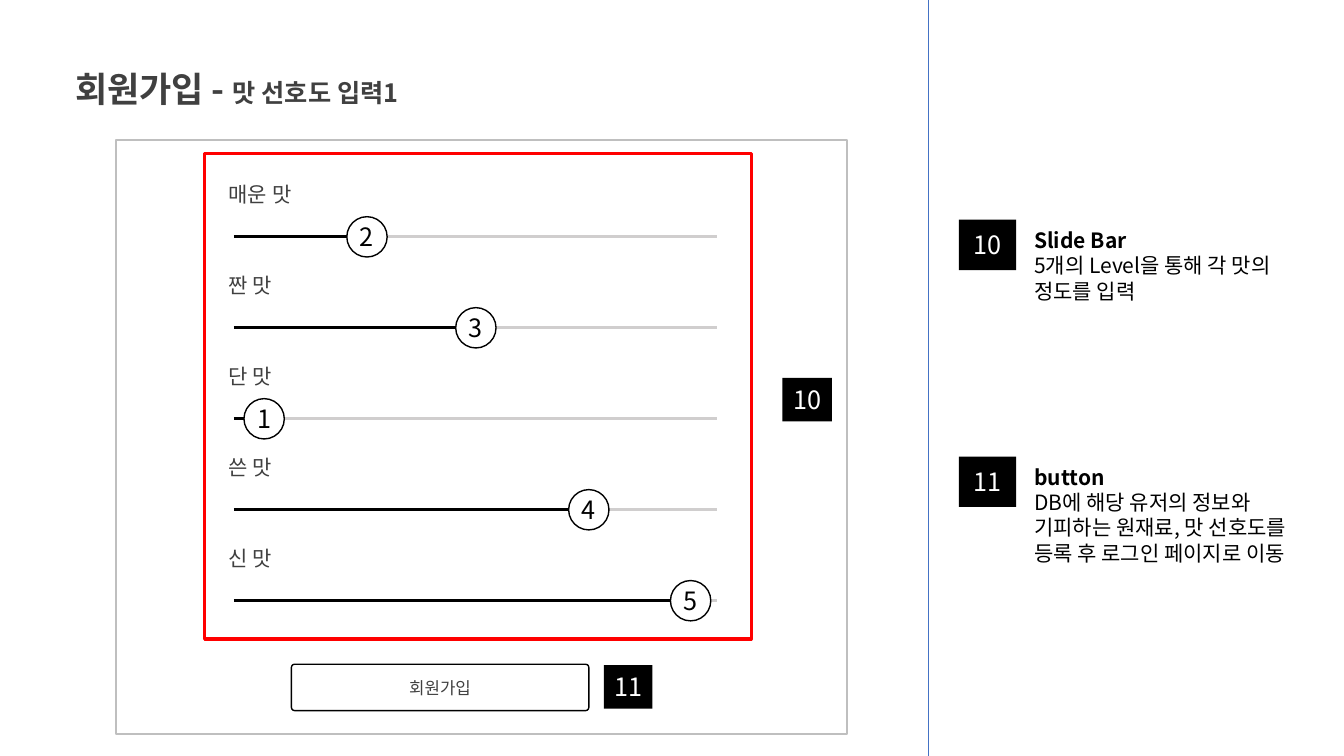
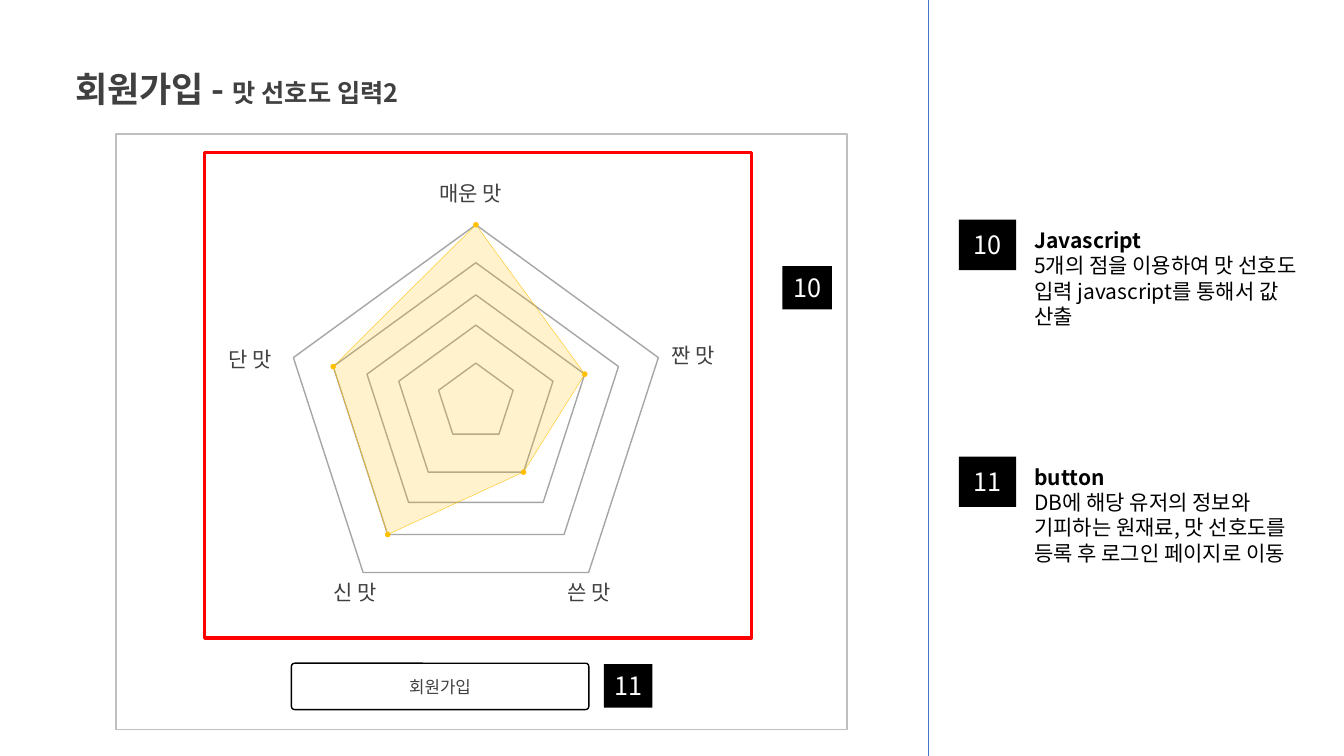
from lxml.etree import SubElement
from pptx import Presentation
from pptx.dml.color import RGBColor
from pptx.enum.shapes import MSO_CONNECTOR as Connector, MSO_SHAPE as Preset
from pptx.enum.text import MSO_ANCHOR as Anchor, PP_ALIGN as Align
from pptx.oxml.ns import qn
from pptx.util import Inches, Pt

FONT = "Noto Sans CJK KR"
COLORS = {
    "white": "FFFFFF",
    "black": "000000",
    "text": "404040",
    "panel": "BFBFBF",
    "divider": "4472C4",
    "highlight": "FF0000",
    "track": "D0CECE",
    "grid": "A6A6A6",
    "data": "FFC000",
}
SLIDE_WIDTH, SLIDE_HEIGHT = 13.33, 7.5
LABEL_SIZE = (0.92, 0.37)
FRAME_LEFT, FRAME_WIDTH, FRAME_HEIGHT = 2.03, 5.42, 4.82
KNOB_SIZE = 0.4
KNOB_OFFSETS = {1: 0.39, 2: 1.41, 3: 2.49, 4: 3.61, 5: 4.62}
SLIDERS = [("매운 맛", 2), ("짠 맛", 3), ("단 맛", 1), ("쓴 맛", 4), ("신 맛", 5)]
RING_WIDTHS = [0.74, 1.53, 2.16, 2.83, 3.62]
RING_RATIO = 0.953
RING_CORNERS = [(0.5, 0), (1, 0.382), (0.809, 1), (0.191, 1), (0, 0.382)]
RADAR_LEVELS = [5, 3, 2, 4, 4]
RADAR_LABELS = [
    ("매운 맛", 2.23, 0.22),
    ("짠 맛", 4.53, 1.83),
    ("쓴 맛", 3.5, 4.18),
    ("신 맛", 1.18, 4.18),
    ("단 맛", 0.14, 1.87),
]
BUTTON_NOTE = ("button", "DB에 해당 유저의 정보와 기피하는 원재료, 맛 선호도를 등록 후 로그인 페이지로 이동")


def color(name):
    return RGBColor.from_string(COLORS[name])


def inches(*lengths):
    return [Inches(length) for length in lengths]


def style_paragraph(paragraph, size, color_name, bold=False, align=Align.LEFT):
    paragraph.alignment = align
    font = paragraph.font
    font.name, font.size, font.bold = FONT, Pt(size), bold
    font.color.rgb = color(color_name)
    properties = paragraph._p.pPr.find(qn("a:defRPr"))
    SubElement(properties, qn("a:ea"), typeface=FONT)


def style_shape(shape, fill, line, width):
    shape.shadow.inherit = False
    if fill:
        shape.fill.solid()
        shape.fill.fore_color.rgb = color(fill)
    else:
        shape.fill.background()
    if line:
        shape.line.color.rgb = color(line)
        shape.line.width = Pt(width)
    else:
        shape.line.fill.background()


def add_box(shapes, box, preset=Preset.RECTANGLE, fill=None, line=None, width=1,
            text="", size=18, color_name="black"):
    shape = shapes.add_shape(preset, *inches(*box))
    style_shape(shape, fill, line, width)
    if text:
        frame = shape.text_frame
        frame.word_wrap = False
        frame.vertical_anchor = Anchor.MIDDLE
        frame.text = text
        style_paragraph(frame.paragraphs[0], size, color_name, align=Align.CENTER)
    return shape


def add_text_box(shapes, box, anchor=Anchor.TOP):
    frame = shapes.add_textbox(*inches(*box)).text_frame
    frame.word_wrap = True
    frame.vertical_anchor = anchor
    return frame


def add_label(shapes, left, top, text):
    frame = add_text_box(shapes, (left, top, *LABEL_SIZE), Anchor.MIDDLE)
    frame.text = text
    style_paragraph(frame.paragraphs[0], 15, "text")


def add_line(shapes, start, end, color_name, width):
    line = shapes.add_connector(Connector.STRAIGHT, *inches(*start, *end))
    line.line.color.rgb = color(color_name)
    line.line.width = Pt(width)
    SubElement(line._element.spPr, qn("a:effectLst"))


def add_badge(shapes, box, number):
    add_box(shapes, box, fill="black", text=number, color_name="white")


def add_title(slide, subtitle):
    paragraph = add_text_box(slide.shapes, (0.65, 0.62, 3.87, 0.52)).paragraphs[0]
    style_paragraph(paragraph, 25, "text", bold=True)
    paragraph.add_run().text = "회원가입 - "
    run = paragraph.add_run()
    run.text = subtitle
    run.font.size = Pt(18)


def add_note(slide, top, number, heading, body):
    add_badge(slide.shapes, (9.51, top, 0.57, 0.5), number)
    frame = add_text_box(slide.shapes, (10.16, top + 0.03, 2.92, 1.36))
    frame.text = f"{heading}\n{body}"
    for paragraph, bold in zip(frame.paragraphs, (True, False)):
        style_paragraph(paragraph, 15, "black", bold)


def add_screen(slide, subtitle, panel_top, panel_height, frame_top, badge_top, note):
    shapes = slide.shapes
    add_box(shapes, (1.15, panel_top, 7.25, panel_height), fill="white", line="panel")
    add_line(shapes, (9.21, 0), (9.21, SLIDE_HEIGHT), "divider", 0.5)
    add_title(slide, subtitle)
    add_badge(shapes, (7.76, badge_top, 0.49, 0.43), "10")
    button = add_box(shapes, (2.89, frame_top + 5.07, 2.95, 0.46), Preset.ROUNDED_RECTANGLE,
                     "white", "black", text="회원가입", size=12, color_name="text")
    button.adjustments[0] = 0.07
    add_badge(shapes, (5.99, frame_top + 5.08, 0.48, 0.43), "11")
    add_note(slide, 2.18, "10", *note)
    add_note(slide, 4.53, "11", *BUTTON_NOTE)
    add_box(shapes, (FRAME_LEFT, frame_top, FRAME_WIDTH, FRAME_HEIGHT),
            line="highlight", width=2.25)


def add_slider(shapes, left, center, label, level):
    track_left, knob_left = left + 0.29, left + KNOB_OFFSETS[level]
    add_label(shapes, left + 0.14, center - 0.61, label)
    add_line(shapes, (track_left, center), (left + 5.08, center), "track", 2.25)
    add_line(shapes, (track_left, center), (knob_left, center), "black", 2.25)
    add_box(shapes, (knob_left, center - KNOB_SIZE / 2, KNOB_SIZE, KNOB_SIZE),
            Preset.OVAL, "white", "black", text=str(level))


def add_sliders(slide, left, top):
    for row, (label, level) in enumerate(SLIDERS):
        add_slider(slide.shapes, left, top + 0.83 + row * 0.9025, label, level)


def ring_box(center_x, center_y, level):
    width = RING_WIDTHS[level - 1]
    height = width * RING_RATIO
    return center_x - width / 2, center_y - height / 2, width, height


def ring_corner(box, corner):
    left, top, width, height = box
    return left + corner[0] * width, top + corner[1] * height


def add_radar(slide, left, top):
    shapes = slide.shapes.add_group_shape().shapes
    center = (left + 2.69, top + 2.445)
    for label, offset_x, offset_y in RADAR_LABELS:
        add_label(shapes, left + offset_x, top + offset_y, label)
    for level in range(1, len(RING_WIDTHS) + 1):
        add_box(shapes, ring_box(*center, level), Preset.REGULAR_PENTAGON, line="grid")

    points = [ring_corner(ring_box(*center, level), corner)
              for level, corner in zip(RADAR_LEVELS, RING_CORNERS)]
    start, *others = [tuple(inches(*point)) for point in points]
    builder = shapes.build_freeform(*start)
    builder.add_line_segments(others, close=True)
    area = builder.convert_to_shape()
    style_shape(area, "data", "data", 0.25)
    fill_color = area._element.spPr.find(qn("a:solidFill"))[0]
    SubElement(fill_color, qn("a:alpha"), val="20000")

    dot = 0.05
    for x, y in points:
        add_box(shapes, (x - dot / 2, y - dot / 2, dot, dot), Preset.OVAL, "data", "data", 0.25)


def main():
    presentation = Presentation()
    presentation.slide_width, presentation.slide_height = inches(SLIDE_WIDTH, SLIDE_HEIGHT)
    blank = presentation.slide_layouts[6]

    slide = presentation.slides.add_slide(blank)
    add_screen(slide, "맛 선호도 입력1", 1.39, 5.89, 1.52, 3.75,
               ("Slide Bar", "5개의 Level을 통해 각 맛의 정도를 입력"))
    add_sliders(slide, FRAME_LEFT, 1.52)

    slide = presentation.slides.add_slide(blank)
    add_screen(slide, "맛 선호도 입력2", 1.33, 5.91, 1.51, 2.64,
               ("Javascript", "5개의 점을 이용하여 맛 선호도 입력 javascript를 통해서 값 산출"))
    add_radar(slide, FRAME_LEFT, 1.51)

    presentation.save("out.pptx")


if __name__ == "__main__":
    main()
